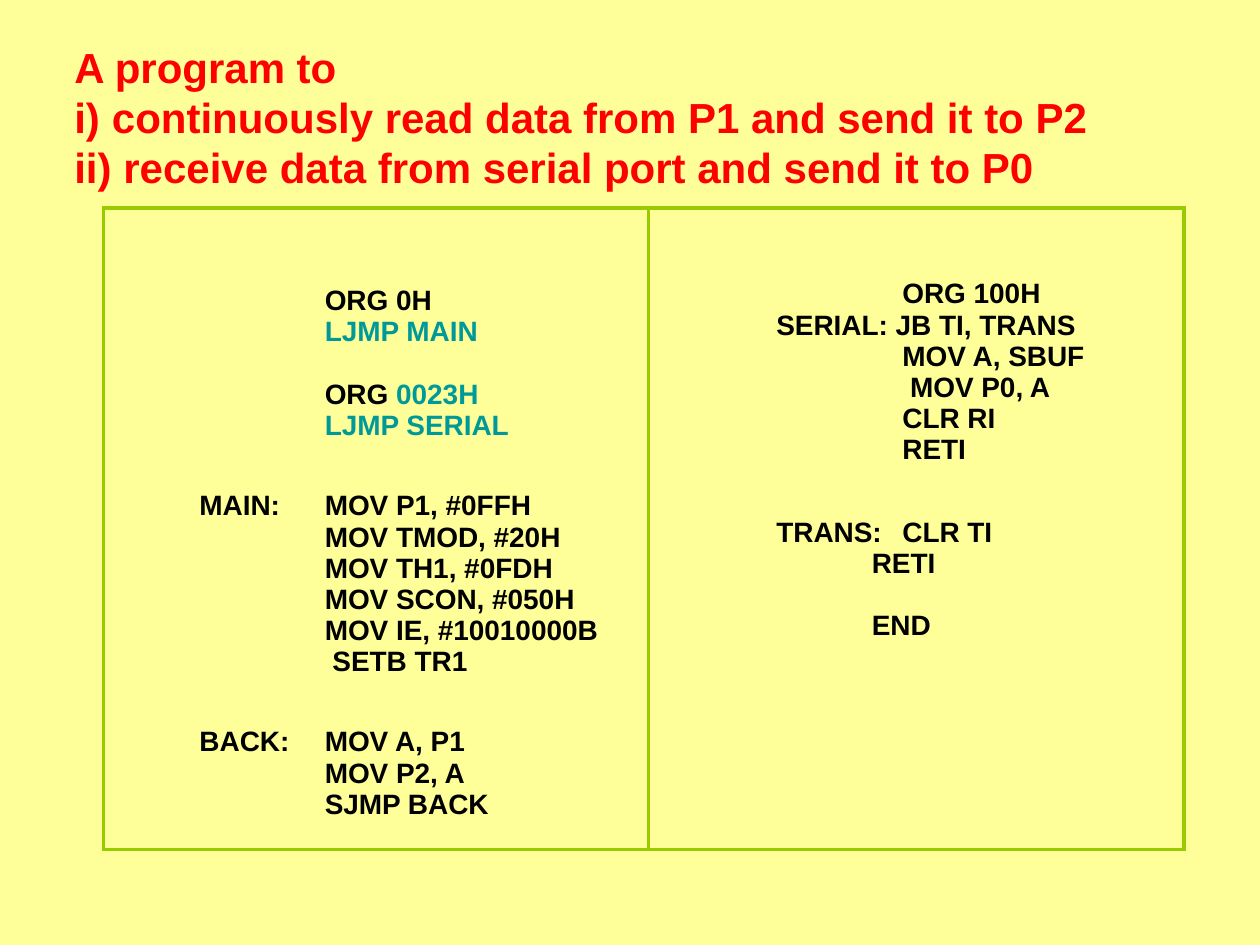
from lxml import etree
from pptx import Presentation
from pptx.dml.color import RGBColor
from pptx.enum import text
from pptx.oxml import ns
from pptx.util import Pt

PAPER, GREEN, RED, TEAL, BLACK = "FFFF99", "99CC00", "FF0000", "009999", "000000"
COLUMNS = [116.6, 195.1, 306]
ROWS = [160.6, 127.4, 78.5]
LABEL_INDENT, CODE_INDENT, RIGHT_LABEL, RIGHT_CODE, RIGHT_END = 55, 10, 73, 145, 127.5


def color(value):
    """Turn a hex string into a colour."""
    return RGBColor.from_string(value)


def add_node(parent, tag, **attributes):
    """Append a drawing element to an XML parent."""
    return etree.SubElement(parent, ns.qn(tag), attributes)


def set_font(para, size, value):
    """Give a paragraph its bold Arial font."""
    font = para.font
    font.name, font.size, font.bold = "Arial", Pt(size), True
    font.color.rgb = color(value)


def indent(para, left, first=0):
    """Set the left margin and first-line indent of a paragraph."""
    properties = para._p.get_or_add_pPr()
    properties.set("marL", str(Pt(left)))
    properties.set("indent", str(Pt(first)))
    return properties


def add_title(page):
    """Write the heading with its two numbered tasks."""
    title = page.shapes.title
    title.left, title.top, title.width, title.height = Pt(42.5), Pt(24), Pt(640), Pt(87)
    frame = title.text_frame
    frame.margin_left = frame.margin_top = frame.margin_right = frame.margin_bottom = 0
    frame.vertical_anchor = text.MSO_ANCHOR.TOP
    frame.auto_size = text.MSO_AUTO_SIZE.NONE
    frame.word_wrap = True
    lines = [
        ("A program to", 0),
        ("continuously read data from P1 and send it to P2", 21.5),
        ("receive data from serial port and send it to P0", 28),
    ]
    frame.text = "\n".join(line for line, _ in lines)
    for para, (_, hang) in zip(frame.paragraphs, lines):
        para.alignment = text.PP_ALIGN.LEFT
        para.line_spacing = Pt(28.6)
        properties = indent(para, hang, -hang)
        if hang:
            add_node(properties, "a:buFont", typeface="Arial")
            add_node(properties, "a:buAutoNum", type="romanLcParenR")
        set_font(para, 24, RED)


def set_borders(cell, sides):
    """Draw green lines on the named sides and none on the others."""
    properties = cell._tc.get_or_add_tcPr()
    for side in "LRTB":
        line = add_node(properties, f"a:ln{side}", w=str(Pt(2.25)))
        if side in sides:
            add_node(add_node(line, "a:solidFill"), "a:srgbClr", val=GREEN)
        else:
            add_node(line, "a:noFill")


def fill_cell(cell, top, lines):
    """Write code lines of (text, indent, gap before, colour) into a cell."""
    cell.margin_left = cell.margin_right = cell.margin_bottom = 0
    cell.margin_top = Pt(top)
    frame = cell.text_frame
    for number, (content, left, gap, value) in enumerate(lines):
        para = frame.add_paragraph() if number else frame.paragraphs[0]
        para.line_spacing = Pt(17.8)
        para.space_before = Pt(gap)
        hang = left - RIGHT_LABEL if "\t" in content else 0
        indent(para, left, -hang)
        set_font(para, 16, BLACK if isinstance(content, tuple) else value)
        if isinstance(content, tuple):
            para.add_run().text = content[0]
            span = para.add_run()
            span.text = content[1]
            span.font.color.rgb = color(value)
        else:
            para.add_run().text = content


def code(left, *contents):
    """List plain black lines that share one indent."""
    return [(content, left, 0, BLACK) for content in contents]


def add_program(page):
    """Build the bordered table that holds the program."""
    frame = page.shapes.add_table(3, 3, Pt(59), Pt(118.8), Pt(sum(COLUMNS)), Pt(sum(ROWS)))
    table = frame.table
    for column, width in zip(table.columns, COLUMNS):
        column.width = Pt(width)
    for row, height in zip(table.rows, ROWS):
        row.height = Pt(height)

    edges = ["L", "R", "LR"]
    for r in range(3):
        for c in range(3):
            cell = table.cell(r, c)
            set_borders(cell, edges[c] + ("T", "", "B")[r])
            cell.fill.solid()
            cell.fill.fore_color.rgb = color(PAPER)

    contents = {
        (0, 1): (44, code(CODE_INDENT, "ORG 0H") + [
            ("LJMP MAIN", CODE_INDENT, 0, TEAL),
            (("ORG ", "0023H"), CODE_INDENT, 18.5, TEAL),
            ("LJMP SERIAL", CODE_INDENT, 0, TEAL)]),
        (0, 2): (40.5, code(RIGHT_CODE, "ORG 100H")
                 + code(RIGHT_LABEL, "SERIAL: JB TI, TRANS")
                 + code(RIGHT_CODE, "MOV A, SBUF", " MOV P0, A", "CLR RI", "RETI")),
        (1, 0): (1, code(LABEL_INDENT, "MAIN:")),
        (1, 1): (1, code(CODE_INDENT, "MOV P1, #0FFH", "MOV TMOD, #20H", "MOV TH1, #0FDH",
                         "MOV SCON, #050H", "MOV IE, #10010000B", " SETB TR1")),
        (1, 2): (16, code(RIGHT_CODE, "TRANS:\tCLR TI") + code(RIGHT_END, "RETI")
                 + [("END", RIGHT_END, 18, BLACK)]),
        (2, 0): (8.5, code(LABEL_INDENT, "BACK:")),
        (2, 1): (8.5, code(CODE_INDENT, "MOV A, P1", "MOV P2, A", "SJMP BACK")),
    }
    for (r, c), (top, lines) in contents.items():
        fill_cell(table.cell(r, c), top, lines)


def main():
    """Build and save the slide."""
    deck = Presentation()
    deck.slide_width, deck.slide_height = Pt(720), Pt(540)
    page = deck.slides.add_slide(deck.slide_layouts[5])
    page.background.fill.solid()
    page.background.fill.fore_color.rgb = color(PAPER)
    add_title(page)
    add_program(page)
    deck.save("out.pptx")


if __name__ == "__main__":
    main()
